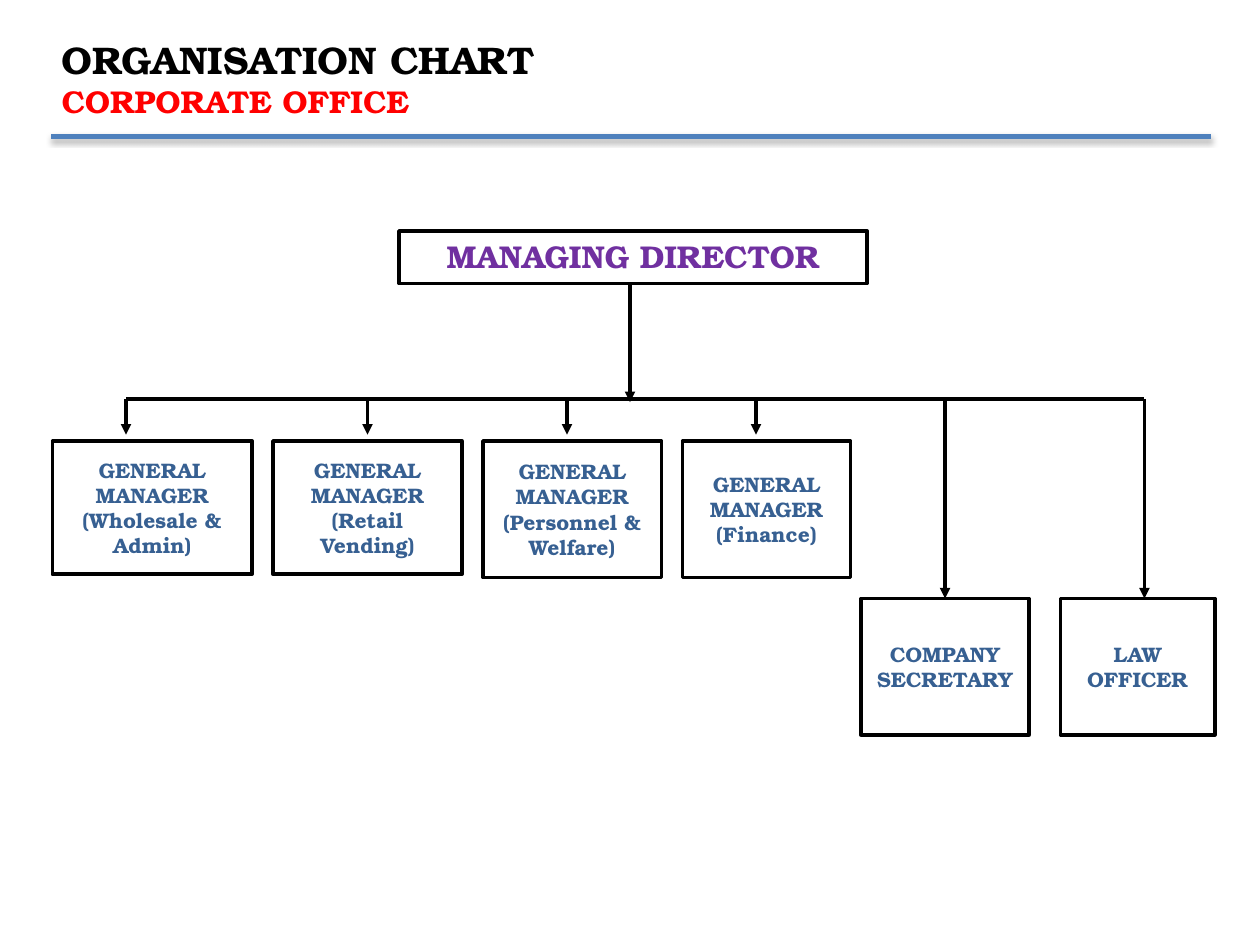
import pptx
import pptx.dml.color
import pptx.enum.shapes
import pptx.enum.text
import pptx.oxml
import pptx.oxml.ns
import pptx.util

PX = 7620  # EMU per px, 120 px to the inch
FONT = "TeX Gyre Bonum"
BLACK, WHITE, RED = "000000", "FFFFFF", "FF0000"
NAVY, PURPLE, RULE = "376092", "7030A0", "4F81BD"
ANCHOR = pptx.enum.text.MSO_ANCHOR
ALIGN = pptx.enum.text.PP_ALIGN
NS = pptx.oxml.ns.nsdecls("a")


def rgb(value):
    return pptx.dml.color.RGBColor.from_string(value)


def write(p, text, size=12, color=NAVY, align=ALIGN.LEFT, after=0):
    p.alignment = align
    p.space_after = pptx.util.Pt(after)
    r = p.add_run()
    r.text = text
    r.font.name = FONT
    r.font.size = pptx.util.Pt(size)
    r.font.bold = True
    r.font.color.rgb = rgb(color)


class Chart:
    """Draws the parts of an organisation chart on one slide."""

    def __init__(self, slide, width=2):
        self.s = slide
        self.width = width

    def box(self, x, y, w, h, text, anchor=ANCHOR.MIDDLE, **style):
        sp = self.s.shapes.add_shape(
            pptx.enum.shapes.MSO_SHAPE.RECTANGLE, x * PX, y * PX, w * PX, h * PX)
        sp.shadow.inherit = False
        sp.fill.solid()
        sp.fill.fore_color.rgb = rgb(WHITE)
        sp.line.color.rgb = rgb(BLACK)
        sp.line.width = pptx.util.Pt(self.width)
        tf = sp.text_frame
        tf.word_wrap = True
        tf.vertical_anchor = anchor
        write(tf.paragraphs[0], text, align=ALIGN.CENTER, after=10, **style)

    def line(self, x1, y1, x2, y2, color=BLACK, width=None, arrow=False, shadow=""):
        c = self.s.shapes.add_connector(
            pptx.enum.shapes.MSO_CONNECTOR.STRAIGHT, x1 * PX, y1 * PX, x2 * PX, y2 * PX)
        c.line.color.rgb = rgb(color)
        c.line.width = pptx.util.Pt(width or self.width)
        if arrow:
            c.line._get_or_add_ln().append(
                pptx.oxml.parse_xml(f'<a:tailEnd {NS} type="triangle"/>'))
        c._element.spPr.append(
            pptx.oxml.parse_xml(f"<a:effectLst {NS}>{shadow}</a:effectLst>"))

    def heading(self, x, y, w, h, lines):
        tf = self.s.shapes.add_textbox(x * PX, y * PX, w * PX, h * PX).text_frame
        tf.word_wrap = True
        for i, (text, size, color) in enumerate(lines):
            p = tf.add_paragraph() if i else tf.paragraphs[0]
            write(p, text, size=size, color=color)


def main():
    prs = pptx.Presentation()
    prs.slide_width, prs.slide_height = 1200 * PX, 900 * PX
    chart = Chart(prs.slides.add_slide(prs.slide_layouts[6]))

    # Heading and rule
    chart.heading(47, 28, 751, 92, [("ORGANISATION CHART", 22, BLACK),
                                    ("CORPORATE OFFICE", 18, RED)])
    chart.line(49, 130, 1153, 130, color=RULE, width=3, shadow=(
        '<a:outerShdw blurRad="39370" dist="22860" dir="5400000" rotWithShape="0">'
        f'<a:srgbClr val="{BLACK}"><a:alpha val="35000"/></a:srgbClr></a:outerShdw>'))

    # Managing director, down to the shared bar
    bar = 380
    chart.box(380, 220, 446, 50, "MANAGING DIRECTOR", anchor=ANCHOR.TOP,
              size=18, color=PURPLE)
    chart.line(600, 270, 600, bar + 3, arrow=True)
    chart.line(120, bar, 1090, bar)

    # General managers: left to right with equal gaps
    managers = [("Wholesale & Admin", 190, 127, 120), ("Retail Vending", 180, 127, 350),
                ("Personnel & Welfare", 170, 130, 540), ("Finance", 160, 130, 720)]
    left, gap = 50, 20
    for area, w, h, arrow_x in managers:
        chart.box(left, 420, w, h, f"GENERAL MANAGER ({area})")
        chart.line(arrow_x, bar, arrow_x, 414, arrow=True)
        left += w + gap

    # Officers on the lower row
    for text, x, w, arrow_x in [("COMPANY SECRETARY", 820, 160, 900),
                                ("LAW OFFICER", 1010, 147, 1090)]:
        chart.box(x, 570, w, 130, text)
        chart.line(arrow_x, bar, arrow_x, 570, arrow=True)

    prs.save("out.pptx")


if __name__ == "__main__":
    main()
